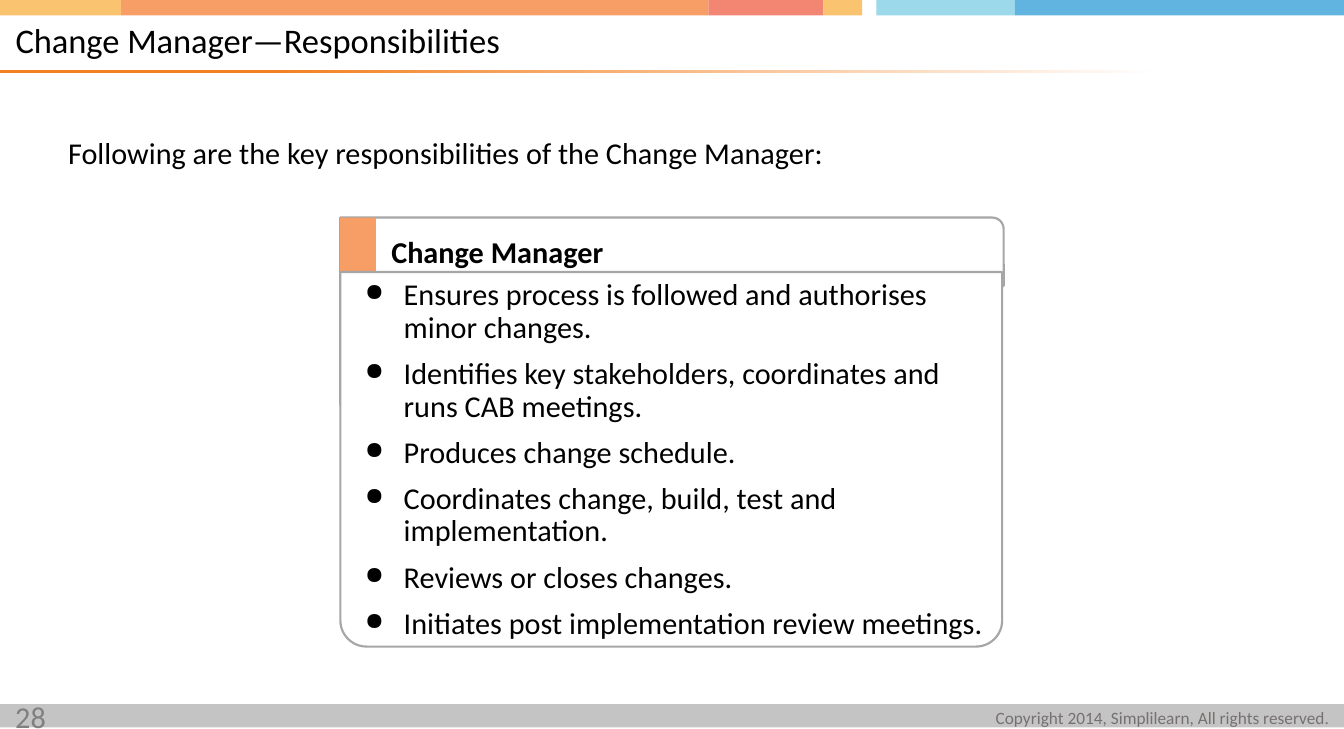
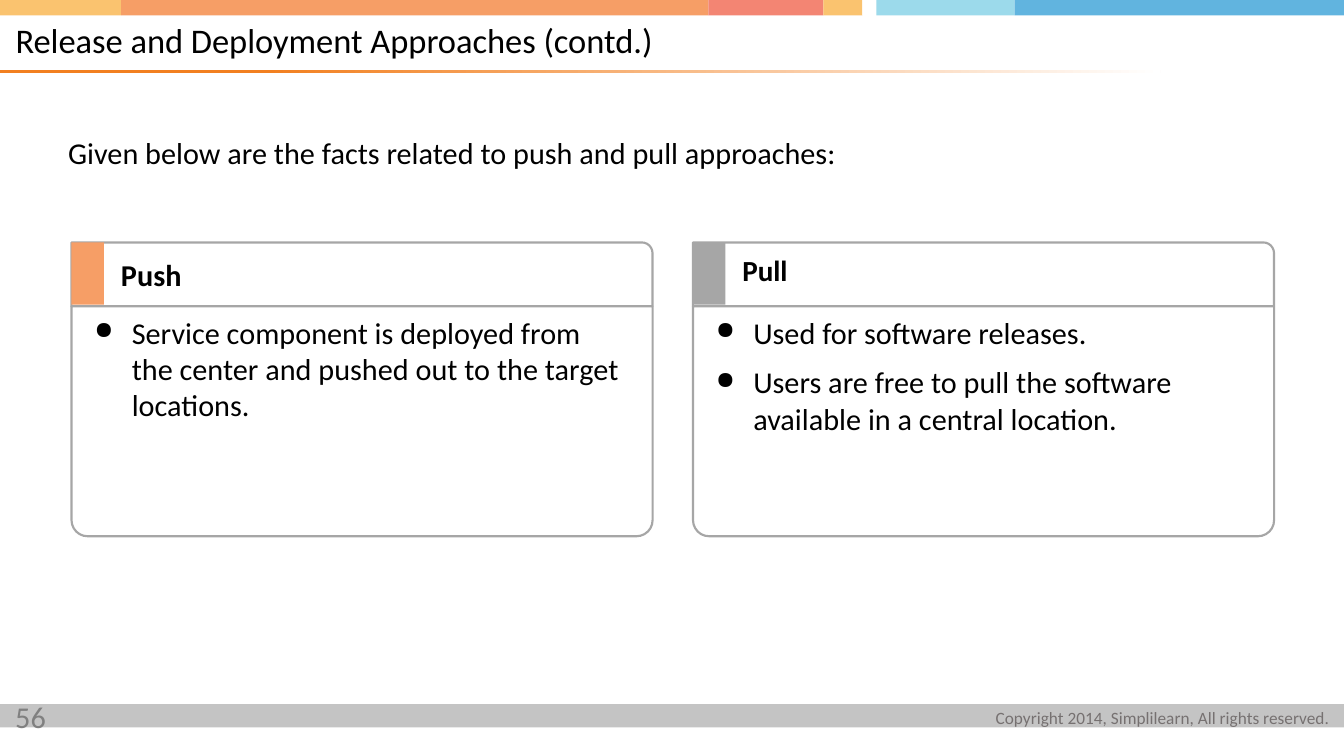
from dataclasses import dataclass
from itertools import pairwise
from typing import Any

from lxml import etree
from pptx import Presentation
from pptx.dml.color import RGBColor
from pptx.enum.shapes import MSO_SHAPE
from pptx.enum.text import MSO_ANCHOR, MSO_AUTO_SIZE, PP_ALIGN
from pptx.oxml.ns import qn
from pptx.util import Emu, Pt

RECT = MSO_SHAPE.RECTANGLE
HEADER_SHAPE = MSO_SHAPE.ROUND_1_RECTANGLE
BODY_SHAPE = MSO_SHAPE.ROUND_2_SAME_RECTANGLE
LEFT, RIGHT = PP_ALIGN.LEFT, PP_ALIGN.RIGHT
TOP, MIDDLE = MSO_ANCHOR.TOP, MSO_ANCHOR.MIDDLE
NO_AUTOFIT = MSO_AUTO_SIZE.NONE

BLACK = RGBColor(0x00, 0x00, 0x00)
WHITE = RGBColor(0xFF, 0xFF, 0xFF)
YELLOW = RGBColor(0xFA, 0xC3, 0x6F)
ORANGE = RGBColor(0xF6, 0x9E, 0x66)
RULE_ORANGE = RGBColor(0xF2, 0x80, 0x20)
CORAL = RGBColor(0xF3, 0x85, 0x73)
AQUA = RGBColor(0x9C, 0xDA, 0xEB)
BLUE = RGBColor(0x61, 0xB4, 0xDF)
BORDER_GRAY = RGBColor(0xA6, 0xA6, 0xA6)
FOOTER_GRAY = RGBColor(0xC4, 0xC4, 0xC4)
NUMBER_GRAY = RGBColor(0x80, 0x80, 0x80)
COPYRIGHT_GRAY = RGBColor(0x76, 0x71, 0x71)

EMU_PER_PX = 9144
SLIDE_WIDTH, SLIDE_HEIGHT = 865, 469
BAND_HEIGHT = 10
BAND_EDGES = (0, 78, 456, 530, 555, 564, 653, SLIDE_WIDTH)
BAND_COLORS = (YELLOW, ORANGE, CORAL, YELLOW, WHITE, AQUA, BLUE)
FONT = "Calibri"
COPYRIGHT = "Copyright 2014, Simplilearn, All rights reserved."
PARAGRAPH_GAP = 6.2
TITLE_ONLY = 5


@dataclass(frozen=True)
class Box:
    left: int
    top: int
    width: int
    height: int

    def emu(self) -> tuple[Emu, Emu, Emu, Emu]:
        return px(self.left), px(self.top), px(self.width), px(self.height)


@dataclass(frozen=True)
class CardStyle:
    width: int
    header_height: int
    accent_width: int
    accent_height: int
    body_width: int
    body_offset: int
    body_height: int
    heading: Box
    bullets: Box
    indent: int
    line_spacing: float


@dataclass(frozen=True)
class Card:
    left: int
    top: int
    accent: RGBColor
    heading: str
    points: tuple[str, ...]
    heading_size: float = 14
    heading_spacing: float = 1.0


@dataclass(frozen=True)
class Page:
    number: int
    title: str
    intro: str
    style: CardStyle
    cards: tuple[Card, ...]


LARGE_CARD = CardStyle(
    width=427, header_height=44, accent_width=23, accent_height=54,
    body_width=426, body_offset=35, body_height=241,
    heading=Box(23, 5, 375, 42), bullets=Box(6, 35, 425, 244),
    indent=25, line_spacing=0.9,
)
SMALL_CARD = CardStyle(
    width=374, header_height=41, accent_width=21, accent_height=40,
    body_width=374, body_offset=41, body_height=148,
    heading=Box(22, 4, 351, 34), bullets=Box(5, 41, 360, 128),
    indent=24, line_spacing=1.0,
)

PAGES = (
    Page(
        28,
        "Change Manager—Responsibilities",
        "Following are the key responsibilities of the Change Manager:",
        LARGE_CARD,
        (
            Card(219, 140, ORANGE, "Change Manager", (
                "Ensures process is followed and authorises minor changes.",
                "Identifies key stakeholders, coordinates and runs CAB meetings.",
                "Produces change schedule.",
                "Coordinates change, build, test and implementation.",
                "Reviews or closes changes.",
                "Initiates post implementation review meetings.",
            )),
        ),
    ),
    Page(
        56,
        "Release and Deployment Approaches (contd.)",
        "Given below are the facts related to push and pull approaches:",
        SMALL_CARD,
        (
            Card(46, 156, ORANGE, "Push", (
                "Service component is deployed from the center and pushed out "
                "to the target locations.",
            )),
            Card(446, 156, BORDER_GRAY, "Pull", (
                "Used for software releases.",
                "Users are free to pull the software available in a central location.",
            ), heading_size=13.5, heading_spacing=0.9),
        ),
    ),
)


def px(length: int) -> Emu:
    return Emu(length * EMU_PER_PX)


def add_bullet(paragraph: Any, indent: int) -> None:
    properties = paragraph._p.get_or_add_pPr()
    properties.set("marL", str(px(indent)))
    properties.set("indent", str(-px(indent)))
    etree.SubElement(properties, qn("a:buSzPct"), val="80000")
    etree.SubElement(properties, qn("a:buChar"), char="●")


def write_text(
    box: Any,
    *lines: str,
    size: float = 14,
    color: RGBColor = BLACK,
    bold: bool = False,
    align: Any = LEFT,
    anchor: Any = TOP,
    insets: tuple[int, int, int, int] = (10, 5, 10, 5),
    line_spacing: float = 1.0,
    indent: int = 0,
    wrap: bool = True,
) -> None:
    frame = box.text_frame
    frame.auto_size = NO_AUTOFIT
    frame.word_wrap = wrap
    frame.vertical_anchor = anchor
    (frame.margin_left, frame.margin_top,
     frame.margin_right, frame.margin_bottom) = map(px, insets)
    for index, line in enumerate(lines):
        paragraph = frame.add_paragraph() if index else frame.paragraphs[0]
        paragraph.alignment = align
        paragraph.line_spacing = line_spacing
        paragraph.space_before = Pt(PARAGRAPH_GAP if index else 0)
        if indent:
            add_bullet(paragraph, indent)
        span = paragraph.add_run()
        span.text = line
        span.font.name = FONT
        span.font.size = Pt(size)
        span.font.bold = bold
        span.font.color.rgb = color


def add_text(slide: Any, place: Box, *lines: str, **text_format: Any) -> None:
    write_text(slide.shapes.add_textbox(*place.emu()), *lines, **text_format)


def add_block(
    slide: Any,
    place: Box,
    fill: RGBColor,
    kind: Any = RECT,
    border: RGBColor | None = None,
) -> Any:
    block = slide.shapes.add_shape(kind, *place.emu())
    block.shadow.inherit = False
    block.fill.solid()
    block.fill.fore_color.rgb = fill
    if border is None:
        block.line.fill.background()
    else:
        block.line.color.rgb = border
        block.line.width = Pt(1)
    return block


def draw_frame(slide: Any, page: Page) -> None:
    add_block(slide, Box(0, 453, SLIDE_WIDTH, 15), FOOTER_GRAY)
    add_text(slide, Box(640, 450, 216, 24), COPYRIGHT, size=8,
             color=COPYRIGHT_GRAY, align=RIGHT, insets=(0, 5, 0, 5), wrap=False)
    for (start, end), color in zip(pairwise(BAND_EDGES), BAND_COLORS):
        add_block(slide, Box(start, 0, end - start, BAND_HEIGHT), color)
    rule = add_block(slide, Box(0, 45, 747, 2), RULE_ORANGE)
    rule.fill.gradient()
    rule.fill.gradient_angle = 0
    for stop, position, color in zip(
        rule.fill.gradient_stops, (0.23, 1.0), (RULE_ORANGE, WHITE)
    ):
        stop.position = position
        stop.color.rgb = color
    add_text(slide, Box(0, 444, 63, 25), str(page.number), color=NUMBER_GRAY)


def draw_title(slide: Any, text: str) -> None:
    title = slide.shapes.title
    title.left, title.top, title.width, title.height = Box(0, 10, 708, 34).emu()
    write_text(title, text, size=16, anchor=MIDDLE, insets=(10, 0, 0, 0),
               line_spacing=0.9)


def draw_card(slide: Any, card: Card, style: CardStyle) -> None:
    def inside(place: Box) -> Box:
        return Box(card.left + place.left, card.top + place.top,
                   place.width, place.height)

    add_block(slide, inside(Box(0, 0, style.width, style.header_height)),
              WHITE, HEADER_SHAPE, BORDER_GRAY)
    add_block(slide, inside(Box(0, 0, style.accent_width, style.accent_height)),
              card.accent)
    body = add_block(
        slide, inside(Box(0, style.body_offset, style.body_width, style.body_height)),
        WHITE, BODY_SHAPE, BORDER_GRAY)
    body.adjustments[0] = 0.07
    body.adjustments[1] = 0
    body.rotation = 180
    add_text(slide, inside(style.heading), card.heading, bold=True,
             size=card.heading_size, line_spacing=card.heading_spacing)
    add_text(slide, inside(style.bullets), *card.points, indent=style.indent,
             line_spacing=style.line_spacing)


def main() -> None:
    deck = Presentation()
    deck.slide_width, deck.slide_height = px(SLIDE_WIDTH), px(SLIDE_HEIGHT)
    for page in PAGES:
        slide = deck.slides.add_slide(deck.slide_layouts[TITLE_ONLY])
        draw_frame(slide, page)
        draw_title(slide, page.title)
        add_text(slide, Box(34, 70, 796, 80), page.intro, line_spacing=1.5)
        for card in page.cards:
            draw_card(slide, card, page.style)
    deck.save("out.pptx")


if __name__ == "__main__":
    main()
